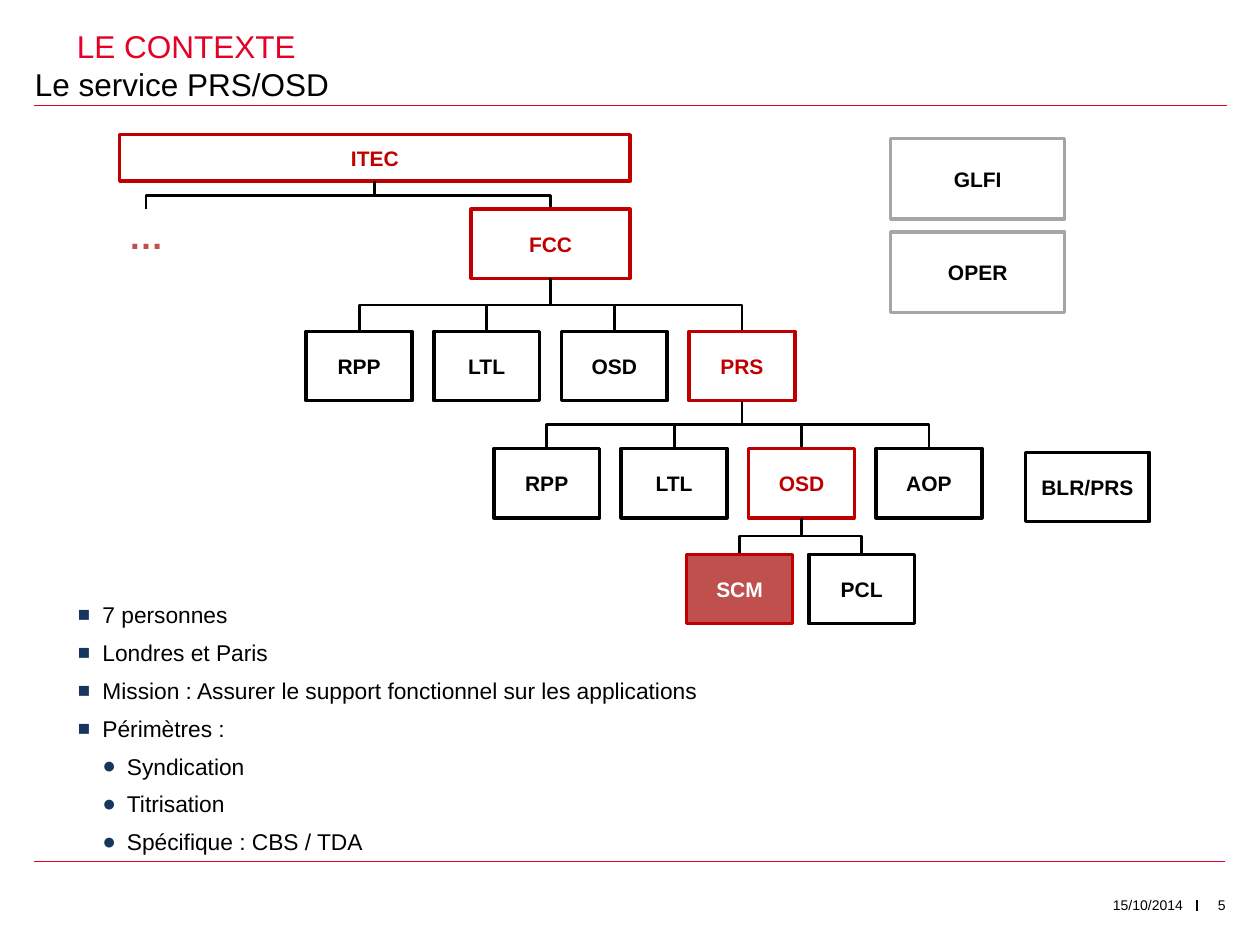
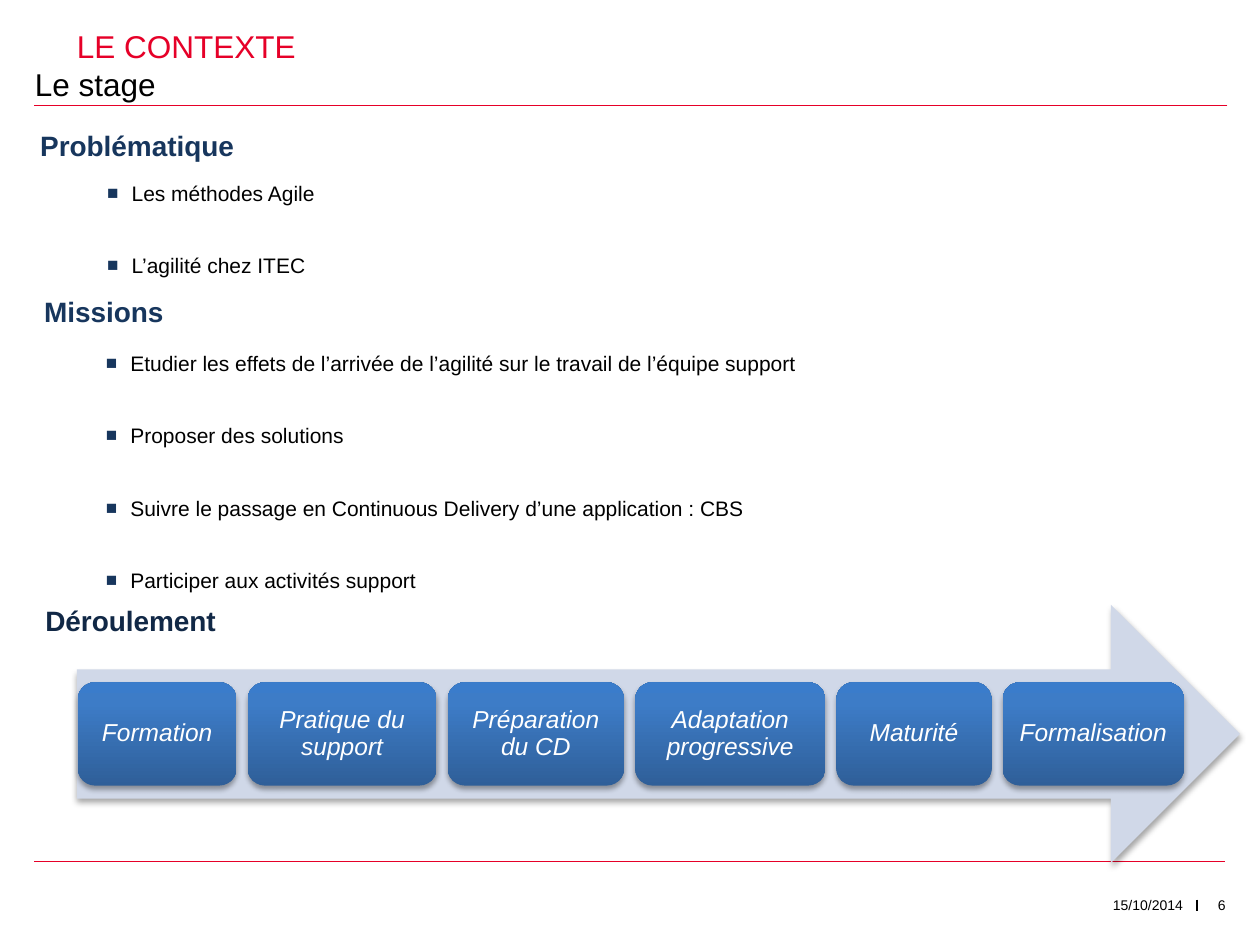
from lxml import etree
from pptx import Presentation
from pptx.dml.color import RGBColor
from pptx.enum import shapes, text
from pptx.oxml import ns, parse_xml
from pptx.util import Pt

FONT = "Arial"
BLACK, WHITE, RED = "000000", "FFFFFF", "E60028"
DARK_RED, BRICK, GREY = "C00000", "C0504D", "A6A6A6"
NAVY, DEEP_NAVY, PALE_BLUE = "17365D", "112846", "D0D8E8"
STEP_STOPS = [(0, "2F5F99"), (80, "3D7CC7"), (100, "3A7CCB")]
NODE_SIZE = (60.5, 39.6)
STEPS = [("Formation", 90.7), ("Pratique du support", 108), ("Préparation du CD", 100.8),
         ("Adaptation progressive", 108.7), ("Maturité", 88.6), ("Formalisation", 103.7)]


def colour(value):
    """Turn a hex string into a colour."""
    return RGBColor.from_string(value)


def drawing(markup):
    """Build one DrawingML element."""
    return parse_xml(markup.replace(">", f" {ns.nsdecls('a')}>", 1))


def style_para(para, size, ink, bold=False, italic=False, align=None):
    """Format a paragraph and its runs."""
    para.alignment = align
    for span in para.runs:
        font = span.font
        font.name, font.size, font.bold, font.italic = FONT, Pt(size), bold, italic
        font.color.rgb = colour(ink)


def prepare_frame(shape, inset=0, anchor=text.MSO_ANCHOR.TOP):
    """Wrap the text of a shape with equal insets."""
    frame = shape.text_frame
    frame.word_wrap = True
    frame.vertical_anchor = anchor
    frame.margin_left = frame.margin_right = frame.margin_top = frame.margin_bottom = Pt(inset)
    return frame


def add_label(page, box, words, size, ink, bold=False, align=None,
              anchor=text.MSO_ANCHOR.TOP, inset=0, spacing=None):
    """Place one line of text in a box."""
    frame = prepare_frame(page.shapes.add_textbox(*map(Pt, box)), inset, anchor)
    frame.text = words
    style_para(frame.paragraphs[0], size, ink, bold, align=align)
    frame.paragraphs[0].line_spacing = spacing


def add_heading(page, left, top, words, size, ink, bold=False):
    """Place a heading that sits on the bottom of its box."""
    add_label(page, (left, top, 656, 22.3), words, size, ink, bold,
              anchor=text.MSO_ANCHOR.BOTTOM, spacing=0.9)


def add_line(page, start, end, ink, weight, kind=shapes.MSO_CONNECTOR.STRAIGHT):
    """Draw a connector without shadow."""
    line = page.shapes.add_connector(kind, *map(Pt, (*start, *end)))
    line.line.color.rgb = colour(ink)
    line.line.width = Pt(weight)
    etree.SubElement(line._element.spPr, ns.qn("a:effectLst"))
    return line


def add_bullets(page, box, items, size, gap=6):
    """Write (level, words) items as a bulleted list."""
    frame = prepare_frame(page.shapes.add_textbox(*map(Pt, box)))
    frame.text = "\n".join(words for _, words in items)
    for number, (para, (level, _)) in enumerate(zip(frame.paragraphs, items)):
        style_para(para, size, BLACK)
        para.level = level
        para.space_before = Pt(gap if number else 6)
        properties = para._p.get_or_add_pPr()
        properties.set("marL", str(Pt(14 * (level + 1))))
        properties.set("indent", str(-Pt(14)))
        mark, percent = (("■", 90), ("●", 100))[level]
        for markup in (f'<a:buClr><a:srgbClr val="{NAVY}"/></a:buClr>',
                       f'<a:buSzPct val="{percent * 1000}"/>',
                       f'<a:buFont typeface="{FONT}"/>', f'<a:buChar char="{mark}"/>'):
            properties.append(drawing(markup.replace("/>", "></a:x>").replace("a:x", markup[1:].split()[0])
                                      if markup.count("<") == 1 else markup))


def add_frame(page, subtitle, number):
    """Draw the rules, titles and footer of a slide."""
    add_line(page, (701.3, 60.4), (19.4, 60.4), RED, 0.5)
    add_line(page, (699.8, 492.5), (19.4, 492.5), RED, 0.5)
    add_line(page, (684, 514.1), (684, 520.6), BLACK, 0.75)
    right = text.PP_ALIGN.RIGHT
    add_label(page, (680.4, 512.6, 20, 17.3), str(number), 8, BLACK, align=right)
    add_label(page, (533.5, 512.6, 142.6, 17.3), "15/10/2014", 8, BLACK, align=right)
    add_heading(page, 44, 15.1, "LE CONTEXTE", 18, RED)
    add_heading(page, 20, 36.7, subtitle, 18, BLACK)


def add_node(page, box, words, edge=BLACK, ink=None, fill=WHITE):
    """Draw one unit of the chart and return its box."""
    node = page.shapes.add_shape(shapes.MSO_SHAPE.RECTANGLE, *map(Pt, box))
    node.shadow.inherit = False
    node.fill.solid()
    node.fill.fore_color.rgb = colour(fill)
    node.line.color.rgb = colour(edge)
    node.line.width = Pt(2)
    frame = prepare_frame(node, 3, text.MSO_ANCHOR.MIDDLE)
    frame.text = words
    style_para(frame.paragraphs[0], 12, ink or edge, True, align=text.PP_ALIGN.CENTER)
    return box


def link_units(page, parent, child):
    """Join the bottom of a parent to the top of a child by an elbow."""
    start_x, start_y = parent[0] + parent[2] / 2, parent[1] + parent[3]
    end_x, end_y = child[0] + child[2] / 2, child[1]
    middle_x, middle_y = (start_x + end_x) / 2, (start_y + end_y) / 2
    rightward = end_x > start_x
    half_drop = (end_y - start_y) / 2 * (-1 if rightward else 1)
    half_span = abs(end_x - start_x) / 2
    elbow = add_line(page, (middle_x - half_drop, middle_y - half_span),
                     (middle_x + half_drop, middle_y + half_span),
                     BLACK, 1.5, shapes.MSO_CONNECTOR.ELBOW)
    elbow._element.spPr.find(ns.qn("a:xfrm")).set("rot", str((270 if rightward else 90) * 60000))


def add_team_row(page, parent, left, top, pitch, names, chosen, chosen_look):
    """Draw a row of units under a parent and return the chosen one."""
    boxes = [(left + pitch * column, top, *NODE_SIZE) for column in range(len(names))]
    for box, name in zip(boxes, names):
        link_units(page, parent, box)
        add_node(page, box, name, *(chosen_look if name == chosen else ()))
    return boxes[names.index(chosen)]


def add_organisation(page, left, top):
    """Draw the organisation chart from its top left corner."""
    itec = add_node(page, (left, top, 291.6, 26.6), "ITEC", DARK_RED)
    others = (left, top + 42.5, 30.2, 12.2)
    add_label(page, others, "…", 20, BRICK, True, text.PP_ALIGN.CENTER, inset=2.9)
    fcc = (left + 200.9, top + 42.5, 90.7, 39.6)
    for unit in (others, fcc):
        link_units(page, itec, unit)
    add_node(page, fcc, "FCC", DARK_RED)
    marked = (DARK_RED,)
    prs = add_team_row(page, fcc, left + 106.6, top + 112.4, 72.9,
                       ["RPP", "LTL", "OSD", "PRS"], "PRS", marked)
    osd = add_team_row(page, prs, left + 213.8, top + 179.3, 72.8,
                       ["RPP", "LTL", "OSD", "AOP"], "OSD", marked)
    add_team_row(page, osd, left + 324, top + 239.8, 69.8,
                 ["SCM", "PCL"], "SCM", (DARK_RED, WHITE, BRICK))
    for row, name in enumerate(["GLFI", "OPER"]):
        add_node(page, (left + 440.6, top + 2.2 + 53.3 * row, 99.4, 46.1), name, GREY, BLACK)
    add_node(page, (left + 517.7, top + 181.5, 70.6, 39.6), "BLR/PRS")


def add_soft_shadow(shape):
    """Give a shape a soft shadow below and no outline."""
    shape.line.fill.background()
    shape._element.spPr.append(drawing(
        f'<a:effectLst><a:outerShdw blurRad="{Pt(3.1)}" dist="{Pt(1.8)}" dir="5400000" '
        f'rotWithShape="0"><a:srgbClr val="{BLACK}"><a:alpha val="35000"/></a:srgbClr>'
        '</a:outerShdw></a:effectLst>'))


def add_step(page, box, words):
    """Draw one rounded step of the process."""
    step = page.shapes.add_shape(shapes.MSO_SHAPE.ROUNDED_RECTANGLE, *map(Pt, box))
    stops = "".join(f'<a:gs pos="{place * 1000}"><a:srgbClr val="{tone}"/></a:gs>'
                    for place, tone in STEP_STOPS)
    step._element.spPr.append(drawing(
        f'<a:gradFill><a:gsLst>{stops}</a:gsLst><a:lin ang="16200000" scaled="0"/></a:gradFill>'))
    add_soft_shadow(step)
    frame = prepare_frame(step, 4.2, text.MSO_ANCHOR.MIDDLE)
    frame.text = words
    style_para(frame.paragraphs[0], 14, WHITE, italic=True, align=text.PP_ALIGN.CENTER)
    frame.paragraphs[0].line_spacing = 0.9


def add_process(page, box):
    """Draw the arrow and the steps along it."""
    left, top, _, height = box
    arrow = page.shapes.add_shape(shapes.MSO_SHAPE.RIGHT_ARROW, *map(Pt, box))
    arrow.fill.solid()
    arrow.fill.fore_color.rgb = colour(PALE_BLUE)
    add_soft_shadow(arrow)
    step_left, step_height = left + 0.5, height * 0.4
    for words, width in STEPS:
        add_step(page, (step_left, top + (height - step_height) / 2, width, step_height), words)
        step_left += width + 6.33


def build_service(page):
    """Build the slide about the service."""
    add_frame(page, "Le service PRS/OSD", 5)
    add_organisation(page, 68.4, 77)
    add_bullets(page, (44.6, 343.4, 616.3, 131),
                [(0, "7 personnes"), (0, "Londres et Paris"),
                 (0, "Mission : Assurer le support fonctionnel sur les applications"),
                 (0, "Périmètres :"), (1, "Syndication"), (1, "Titrisation"),
                 (1, "Spécifique : CBS / TDA")], 13)


def build_internship(page):
    """Build the slide about the internship."""
    add_frame(page, "Le stage", 6)
    add_heading(page, 23, 70.6, "Problématique", 16, NAVY, True)
    add_bullets(page, (61.2, 103, 372, 62.6),
                [(0, "Les méthodes Agile"), (0, "L’agilité chez ITEC")], 12, 27)
    add_heading(page, 25.2, 165.6, "Missions", 16, NAVY, True)
    add_bullets(page, (60.5, 200.2, 574.6, 152.6),
                [(0, "Etudier les effets de l’arrivée de l’agilité sur le travail de l’équipe support"),
                 (0, "Proposer des solutions"),
                 (0, "Suivre le passage en Continuous Delivery d’une application : CBS"),
                 (0, "Participer aux activités support")], 12, 27)
    add_heading(page, 25.9, 342, "Déroulement", 16, DEEP_NAVY, True)
    add_process(page, (44, 345.6, 664.6, 147.6))


def main():
    """Build and save the deck."""
    deck = Presentation()
    deck.slide_width, deck.slide_height = Pt(720), Pt(540)
    for build in (build_service, build_internship):
        build(deck.slides.add_slide(deck.slide_layouts[6]))
    deck.save("out.pptx")


if __name__ == "__main__":
    main()
